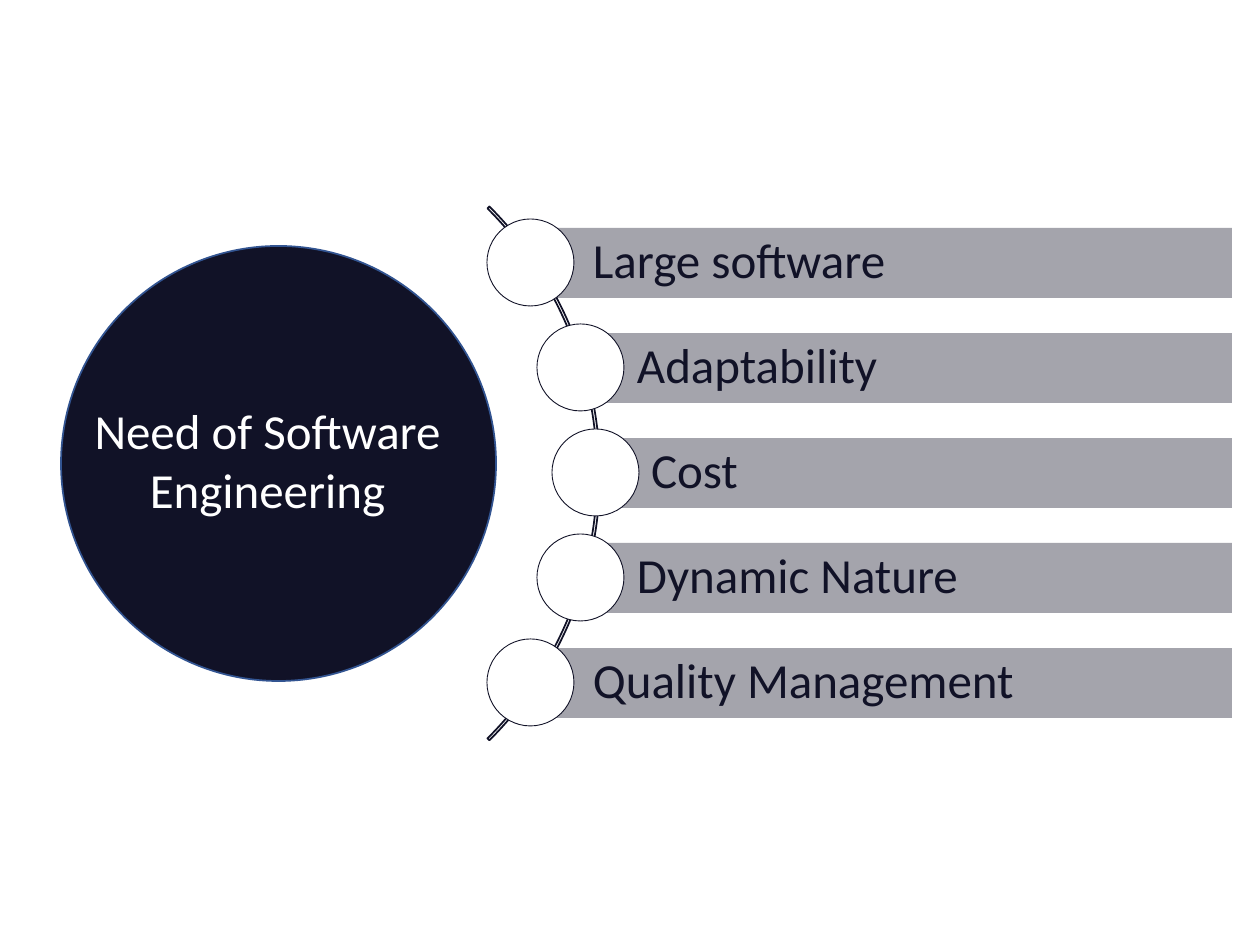
from lxml.etree import SubElement
from pptx import Presentation
from pptx.dml.color import RGBColor
from pptx.enum.shapes import MSO_SHAPE
from pptx.enum.text import MSO_ANCHOR, MSO_AUTO_SIZE, PP_ALIGN
from pptx.oxml.ns import qn
from pptx.util import Pt

EMU_PER_PX = 914400 / 126
NAVY, BLUE, WHITE = "111227", "325491", "FFFFFF"


def emu(px):
    return round(px * EMU_PER_PX)


def color(value):
    return RGBColor.from_string(value)


class SlideBuilder:
    font_name = "Calibri"
    font_size = 28

    def __init__(self, page):
        self.page = page

    def shape(self, kind, left, top, width, height, fill=None, line=None, weight=1):
        shape = self.page.shapes.add_shape(kind, *map(emu, (left, top, width, height)))
        shape.shadow.inherit = False
        if fill:
            shape.fill.solid()
            shape.fill.fore_color.rgb = color(fill)
        else:
            shape.fill.background()
        if line:
            shape.line.color.rgb = color(line)
            shape.line.width = Pt(weight)
        else:
            shape.line.fill.background()
        return shape

    def circle(self, left, top, size, fill, line, weight):
        return self.shape(MSO_SHAPE.OVAL, left, top, size, size, fill, line, weight)

    def arc(self, left, top, size, start, end, thickness):
        arc = self.shape(MSO_SHAPE.BLOCK_ARC, left, top, size, size, line=NAVY)
        # Angles are stored in 60000ths of a degree, adjustments in 100000ths
        for index, value in enumerate((start * 0.6, end * 0.6, thickness / size)):
            arc.adjustments[index] = value

    def label(self, frame, text, text_color, align):
        frame.word_wrap = True
        frame.vertical_anchor = MSO_ANCHOR.MIDDLE
        frame.text = text
        para = frame.paragraphs[0]
        para.alignment = align
        para.font.name = self.font_name
        para.font.size = Pt(self.font_size)
        para.font.color.rgb = color(text_color)
        return para

    def bar(self, left, top, width, height, text):
        bar = self.shape(MSO_SHAPE.RECTANGLE, left, top, width, height, fill=NAVY)
        tint = bar._element.spPr.find(qn("a:solidFill"))[0]
        SubElement(tint, qn("a:alpha"), val="38000")
        frame = bar.text_frame
        frame.margin_left = emu(55)
        frame.margin_top = frame.margin_right = frame.margin_bottom = emu(9)
        self.label(frame, text, NAVY, PP_ALIGN.LEFT).line_spacing = 0.9

    def title(self, left, top, width, height, text):
        title = self.page.shapes.title
        title.left, title.top, title.width, title.height = map(
            emu, (left, top, width, height))
        title.text_frame.auto_size = MSO_AUTO_SIZE.NONE
        self.label(title.text_frame, text, WHITE, PP_ALIGN.CENTER)
        # Bring the title in front of the hub circle
        self.page.shapes._spTree.append(title._element)


def main():
    deck = Presentation()
    deck.slide_width, deck.slide_height = emu(1260), emu(945)
    builder = SlideBuilder(deck.slides.add_slide(deck.slide_layouts[5]))

    # Arc that links the list
    builder.arc(-155, 96, 755, start=315, end=45, thickness=2.7)

    # Needs along the arc: text, bar left, dot left
    needs = [
        ("Large software", 538, 487),
        ("Adaptability", 582, 537),
        ("Cost", 596, 552),
        ("Dynamic Nature", 582, 537),
        ("Quality Management", 538, 487),
    ]
    bar_right, first_top, step = 1232, 228, 105
    for row, (text, bar_left, dot_left) in enumerate(needs):
        top = first_top + row * step
        builder.bar(bar_left, top, bar_right - bar_left, 70, text)
        builder.circle(dot_left, top - 9, 87, WHITE, NAVY, 0.5)

    # Hub with the title
    builder.circle(61, 246, 435, NAVY, BLUE, 1)
    builder.title(55, 394, 425, 131, "Need of Software Engineering")

    deck.save("out.pptx")


if __name__ == "__main__":
    main()
